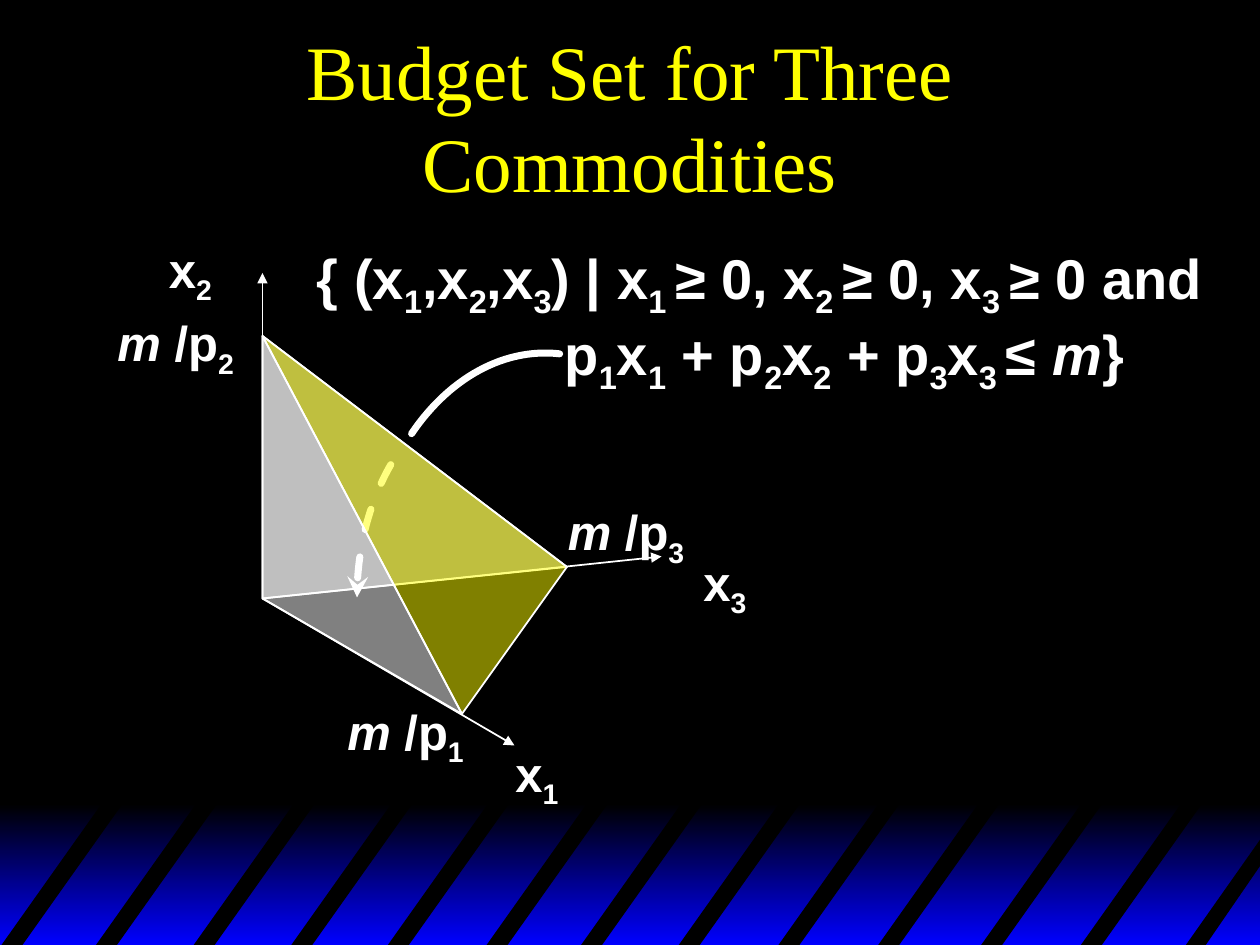
from lxml.etree import SubElement
from pptx import Presentation
from pptx.dml.color import RGBColor
from pptx.enum.dml import MSO_LINE
from pptx.enum.shapes import MSO_CONNECTOR, MSO_SHAPE
from pptx.enum.text import MSO_ANCHOR, MSO_AUTO_SIZE, PP_ALIGN
from pptx.oxml.ns import qn
from pptx.util import Inches, Pt

BLACK = RGBColor(0x00, 0x00, 0x00)
WHITE = RGBColor(0xFF, 0xFF, 0xFF)
YELLOW = RGBColor(0xFF, 0xFF, 0x00)
BLUE = RGBColor(0x00, 0x00, 0xFF)

COLUMNS, ROWS = 120, 90
CELL = Inches(10) // COLUMNS

ORIGIN = (25, 57)
ONLY_X1 = (44, 68)
ONLY_X2 = (25, 32)
ONLY_X3 = (54, 54)
AXIS_TIPS = ((25, 26), (49, 71), (63, 53))

STRIPE_TOP, STRIPE_BOTTOM = 76.1, 90.2
STRIPE_LEAN, STRIPE_WIDTH = 10, 2
STRIPE_STARTS = (0, 9, 18.3, 27.6, 36.8, 46.2, 55.2, 64.5, 74, 83.5, 93.3, 102.8)
LAST_STRIPE = ((112.8, 90.2), (120.2, 79.7), (120.2, 82.2), (114.7, 90.2))

LABELS = (
    ("x_2_", 14.9, 22.2, 6.5),
    ("x_1_", 47.9, 70.2, 6.5),
    ("x_3_", 65.8, 52, 8.2),
    ("*m */p_2_", 10, 29.2, 14),
    ("*m* /p_1_", 31.9, 66.2, 13.6),
    ("*m* /p_3_", 52.9, 47.2, 13.6),
)
FORMULA = (
    "{ (x_1_,x_2_,x_3_) | x_1 _≥ 0, x_2 _≥ 0, x_3 _≥ 0 and\n"
    "p_1_x_1_ + p_2_x_2_ + p_3_x_3 _≤ *m*}"
)


def cells(*counts):
    """Turn counts of grid cells into slide lengths."""
    return [round(count * CELL) for count in counts]


def add_text(slide, text, box, size, font="Arial", color=WHITE, bold=True,
             align=PP_ALIGN.LEFT, anchor=MSO_ANCHOR.TOP, wrap=True, indent=0):
    """Write lines in which _ encloses subscripts and * encloses italics."""
    frame = slide.shapes.add_textbox(*cells(*box)).text_frame
    frame.word_wrap = wrap
    frame.vertical_anchor = anchor
    frame.auto_size = MSO_AUTO_SIZE.NONE if wrap else MSO_AUTO_SIZE.SHAPE_TO_FIT_TEXT
    for number, line in enumerate(text.split("\n")):
        paragraph = frame.add_paragraph() if number else frame.paragraphs[0]
        paragraph.alignment = align
        if number:
            paragraph._p.get_or_add_pPr().set("marL", str(cells(indent)[0]))
        for level, script in enumerate(line.split("_")):
            for slant, piece in enumerate(script.split("*")):
                if not piece:
                    continue
                run = paragraph.add_run()
                run.text = piece
                run.font.name, run.font.size = font, Pt(size)
                run.font.bold, run.font.italic = bold, slant % 2 == 1
                run.font.color.rgb = color
                if level % 2:
                    run.font._element.set("baseline", "-25000")


def add_outline(slide, points, fill=None, alpha=None, line=None, closed=True):
    """Draw a polygon or an open line through grid points."""
    start, *others = [cells(*point) for point in points]
    builder = slide.shapes.build_freeform(*start, scale=1.0)
    builder.add_line_segments(others, close=closed)
    outline = builder.convert_to_shape()
    outline.shadow.inherit = False
    if fill is None:
        outline.fill.background()
    else:
        outline.fill.solid()
        outline.fill.fore_color.rgb = fill
    if alpha is not None:
        color = outline._element.spPr.find(qn("a:solidFill"))[0]
        SubElement(color, qn("a:alpha"), val=str(alpha * 1000))
    if line is None:
        outline.line.fill.background()
    else:
        outline.line.color.rgb = WHITE
        outline.line.width = Pt(line)
    return outline


def bezier(start, pull, push, end, steps=30):
    """Return the grid points along a cubic curve."""
    shares = [step / steps for step in range(steps + 1)]
    return [
        [(1 - t) ** 3 * a + 3 * (1 - t) ** 2 * t * b + 3 * (1 - t) * t ** 2 * c + t ** 3 * d
         for a, b, c, d in zip(start, pull, push, end)]
        for t in shares
    ]


def add_pointer(slide):
    """Draw the curved pointer: solid outside the set, dashed inside it."""
    inside = add_outline(
        slide, bezier((34, 56.9), (34, 51.6), (35.5, 46.6), (38.2, 42.7)), line=4, closed=False)
    inside.line.dash_style = MSO_LINE.DASH
    SubElement(inside.line._get_or_add_ln(), qn("a:headEnd"), type="stealth")
    outside = add_outline(
        slide, bezier((39.2, 41.3), (42.8, 36), (48, 33.1), (53.3, 33.7)), line=4, closed=False)
    for part in (inside, outside):
        part.line._get_or_add_ln().set("cap", "rnd")


def add_axis(slide, tip):
    """Draw an axis arrow from the origin."""
    axis = slide.shapes.add_connector(MSO_CONNECTOR.STRAIGHT, *cells(*ORIGIN, *tip))
    axis.line.color.rgb = WHITE
    axis.line.width = Pt(1)
    SubElement(axis.line._get_or_add_ln(), qn("a:tailEnd"), type="triangle")
    SubElement(axis._element.spPr, qn("a:effectLst"))


def add_backdrop(slide):
    """Paint the black ground and the striped blue band."""
    slide.background.fill.solid()
    slide.background.fill.fore_color.rgb = BLACK
    band = slide.shapes.add_shape(MSO_SHAPE.RECTANGLE, *cells(0, 76.6, 120.2, 13.4))
    band.shadow.inherit = False
    band.line.fill.background()
    band.fill.gradient()
    band.fill.gradient_angle = 270
    for stop, color, position in zip(band.fill.gradient_stops, (BLACK, BLUE), (0, 1)):
        stop.color.rgb = color
        stop.position = position
    for x in STRIPE_STARTS:
        top = x + STRIPE_LEAN
        add_outline(slide, (
            (x, STRIPE_BOTTOM), (top, STRIPE_TOP),
            (top + STRIPE_WIDTH, STRIPE_TOP), (x + STRIPE_WIDTH, STRIPE_BOTTOM)), fill=BLACK)
    add_outline(slide, LAST_STRIPE, fill=BLACK)


def main():
    """Build the slide and save it."""
    deck = Presentation()
    deck.slide_width, deck.slide_height = cells(COLUMNS, ROWS)
    slide = deck.slides.add_slide(deck.slide_layouts[6])
    add_backdrop(slide)
    add_text(slide, "Budget Set for Three Commodities", (9, 3, 102, 16), 44,
             font="Times New Roman", color=YELLOW, bold=False,
             align=PP_ALIGN.CENTER, anchor=MSO_ANCHOR.MIDDLE)
    for tip in AXIS_TIPS:
        add_axis(slide, tip)
    for label, left, top, width in LABELS:
        add_text(slide, label, (left, top, width, 7.5), 28, wrap=False)
    add_outline(slide, (ONLY_X2, ONLY_X3, ORIGIN), fill=WHITE, alpha=50, line=1)
    add_text(slide, FORMULA, (29, 22.6, 94, 15.8), 32, indent=23.6)
    add_pointer(slide)
    add_outline(slide, (ONLY_X2, ONLY_X1, ONLY_X3), fill=YELLOW, alpha=50, line=1)
    add_outline(slide, (ONLY_X2, ONLY_X1, ORIGIN), fill=WHITE, alpha=50, line=1)
    deck.save("out.pptx")


if __name__ == "__main__":
    main()
